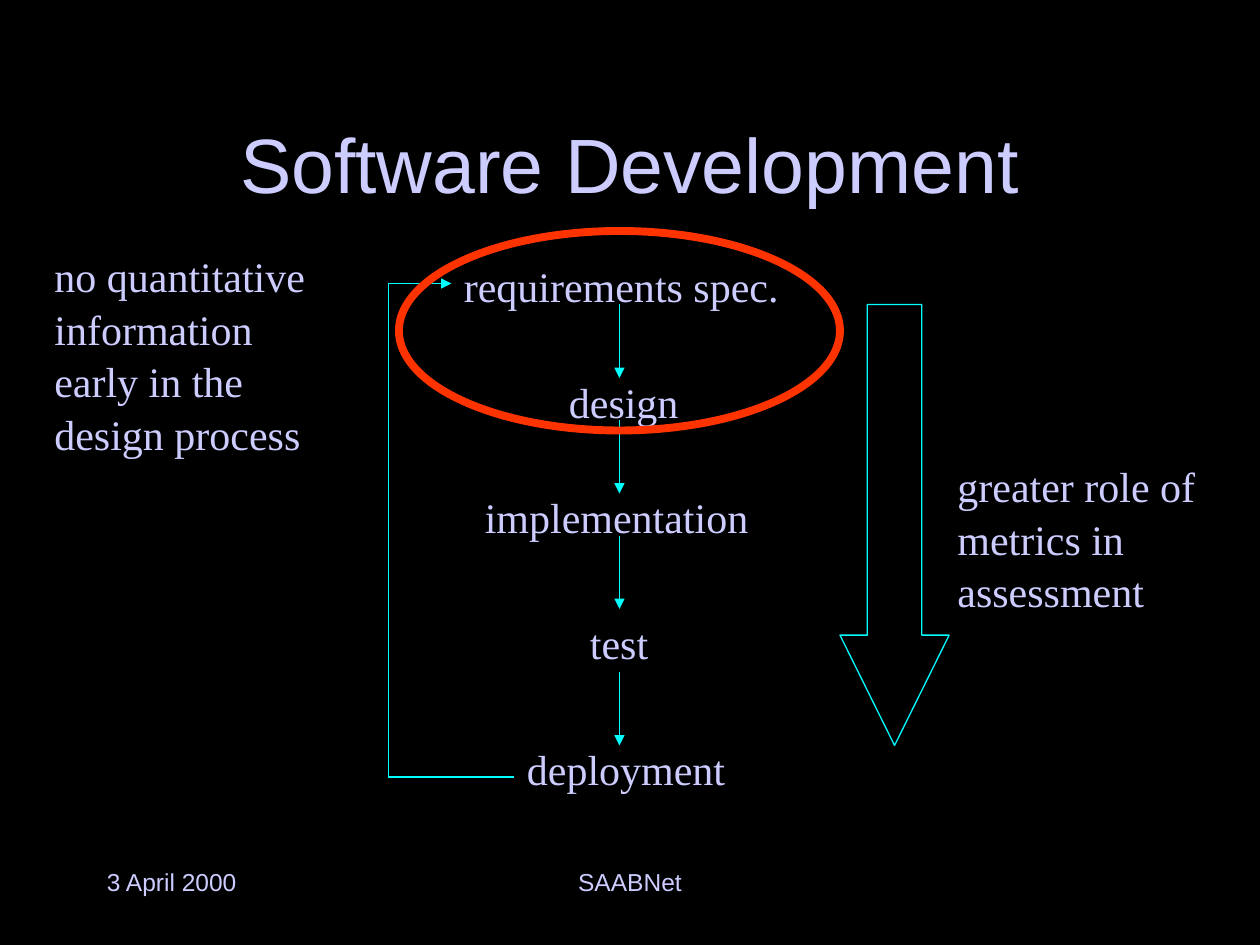
from dataclasses import dataclass

import pptx
import pptx.dml.color
import pptx.enum.shapes
import pptx.enum.text
import pptx.oxml
import pptx.oxml.ns
import pptx.util
from pptx.dml.color import RGBColor
from pptx.enum.text import PP_ALIGN

EMU_PER_PX = 7620  # 120 px to the inch
BLACK = RGBColor(0x00, 0x00, 0x00)
LAVENDER = RGBColor(0xCC, 0xCC, 0xFF)
CYAN = RGBColor(0x00, 0xFF, 0xFF)
ORANGE_RED = RGBColor(0xFF, 0x33, 0x00)
LEFT_SIDE = 1


@dataclass(frozen=True)
class Label:
    text: str
    left: int
    top: int
    width: int
    height: int
    size: int = 24
    font: str = "Times New Roman"
    align: PP_ALIGN = PP_ALIGN.LEFT
    line_spacing: float = 1.05


@dataclass(frozen=True)
class Line:
    start_x: int
    start_y: int
    end_x: int
    end_y: int
    arrow: bool = False


STEPS = [
    Label("requirements spec.", 430, 240, 330, 60),
    Label("design", 530, 350, 140, 60),
    Label("implementation", 450, 460, 290, 60),
    Label("test", 550, 580, 90, 60),
    Label("deployment", 490, 700, 220, 60),
]
NOTES = [
    Label("greater role of metrics in assessment", 900, 430, 260, 156),
    Label("no quantitative information early in the design process", 40, 230, 290, 204),
]
FOOTERS = [
    Label("SAABNet", 410, 820, 380, 60, 14, "Arial", PP_ALIGN.CENTER, 1.0),
    Label("3 April 2000", 90, 820, 250, 60, 14, "Arial", line_spacing=1.0),
]
FLOW_X = 590
FLOW_LENGTH = 70
FLOW_TOPS = [290, 400, 510, 640]
LOOP_X, LOOP_TOP, LOOP_BOTTOM = 370, 270, 740


def px(length: int) -> pptx.util.Emu:
    return pptx.util.Emu(length * EMU_PER_PX)


def write_text(shape, label: Label) -> None:
    frame = shape.text_frame
    frame.word_wrap = True
    paragraph = frame.paragraphs[0]
    paragraph.alignment = label.align
    paragraph.line_spacing = label.line_spacing
    run = paragraph.add_run()
    run.text = label.text
    run.font.name = label.font
    run.font.size = pptx.util.Pt(label.size)
    run.font.color.rgb = LAVENDER


def add_label(slide, label: Label):
    box = slide.shapes.add_textbox(
        px(label.left), px(label.top), px(label.width), px(label.height))
    write_text(box, label)
    return box


def add_line(slide, line: Line):
    connector = slide.shapes.add_connector(
        pptx.enum.shapes.MSO_CONNECTOR.STRAIGHT,
        px(line.start_x), px(line.start_y), px(line.end_x), px(line.end_y))
    connector.line.color.rgb = CYAN
    connector.line.width = pptx.util.Pt(0.75)
    if line.arrow:
        tail = pptx.oxml.parse_xml(
            f'<a:tailEnd {pptx.oxml.ns.nsdecls("a")} type="triangle"/>')
        connector.line._get_or_add_ln().append(tail)
    effects = pptx.oxml.parse_xml(f'<a:effectLst {pptx.oxml.ns.nsdecls("a")}/>')
    connector._element.spPr.append(effects)
    return connector


def add_outline(slide, kind, left: int, top: int, width: int, height: int,
                color: RGBColor, weight: float):
    shape = slide.shapes.add_shape(kind, px(left), px(top), px(width), px(height))
    shape.shadow.inherit = False
    shape.fill.background()
    shape.line.color.rgb = color
    shape.line.width = pptx.util.Pt(weight)
    return shape


def add_title(slide, label: Label) -> None:
    title = slide.shapes.title
    title.left, title.top = px(label.left), px(label.top)
    title.width, title.height = px(label.width), px(label.height)
    write_text(title, label)
    title.text_frame.vertical_anchor = pptx.enum.text.MSO_ANCHOR.MIDDLE


def main() -> None:
    presentation = pptx.Presentation()
    presentation.slide_width, presentation.slide_height = px(1200), px(900)
    slide = presentation.slides.add_slide(presentation.slide_layouts[5])
    slide.background.fill.solid()
    slide.background.fill.fore_color.rgb = BLACK

    add_title(slide, Label("Software Development", 90, 80, 1020, 150, 44, "Arial",
                           PP_ALIGN.CENTER, 1.0))

    # Development steps and the arrows between them
    step_boxes = [add_label(slide, step) for step in STEPS]
    for top in FLOW_TOPS:
        add_line(slide, Line(FLOW_X, top, FLOW_X, top + FLOW_LENGTH, arrow=True))

    # Feedback loop from deployment back to requirements
    first, last = STEPS[0], STEPS[-1]
    feedback = add_line(slide, Line(LOOP_X, LOOP_TOP, first.left, LOOP_TOP, arrow=True))
    feedback.end_connect(step_boxes[0], LEFT_SIDE)
    add_line(slide, Line(LOOP_X, LOOP_TOP, LOOP_X, LOOP_BOTTOM))
    add_line(slide, Line(last.left, LOOP_BOTTOM, LOOP_X, LOOP_BOTTOM))

    # Growing role of metrics, and the early phase without them
    shapes = pptx.enum.shapes.MSO_SHAPE
    metrics_arrow = add_outline(slide, shapes.DOWN_ARROW, 800, 290, 104, 420, CYAN, 0.75)
    metrics_arrow.adjustments[0] = 0.5
    metrics_arrow.adjustments[1] = 1.01
    add_outline(slide, shapes.OVAL, 380, 220, 420, 190, ORANGE_RED, 4.5)

    for label in NOTES + FOOTERS:
        add_label(slide, label)

    presentation.save("out.pptx")


if __name__ == "__main__":
    main()
